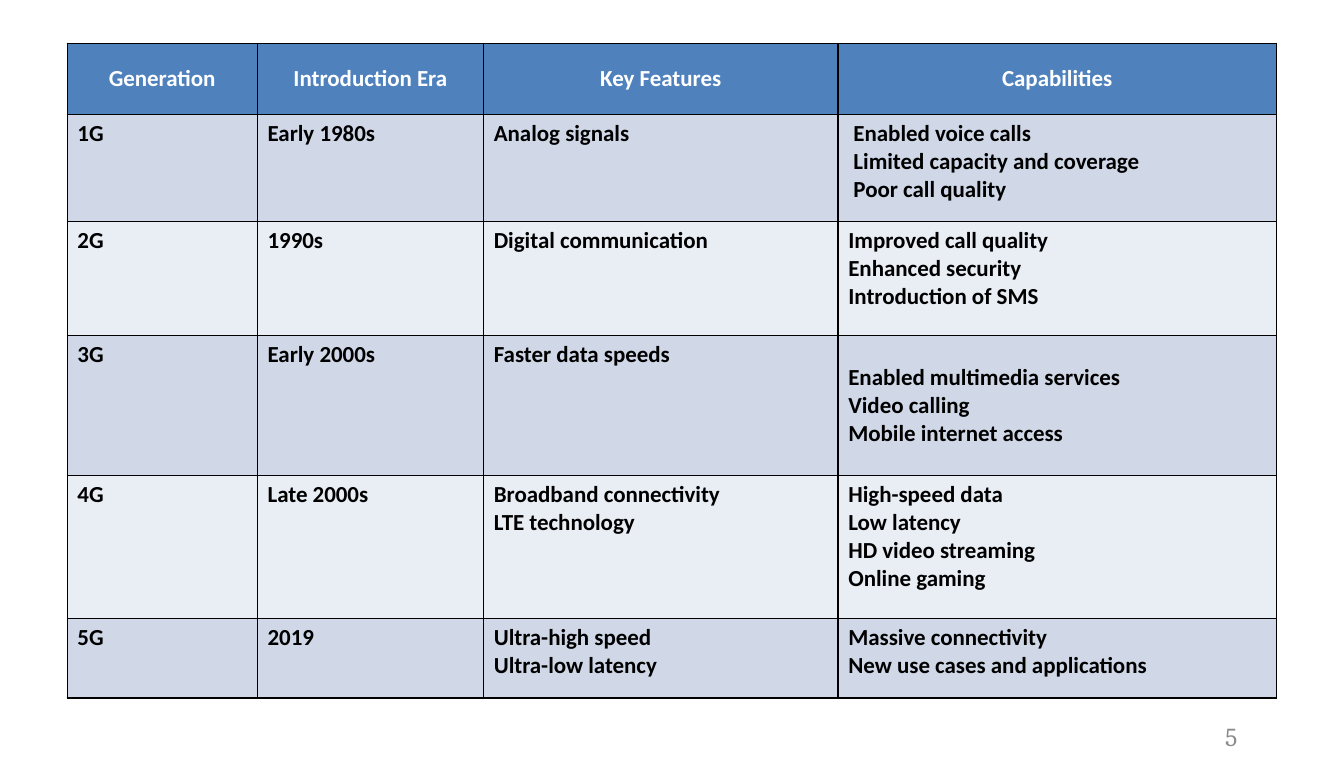
import pptx
import pptx.dml.color
import pptx.enum.text
import pptx.oxml
import pptx.oxml.ns
import pptx.util
from pptx.util import Cm

COLOURS = {
    "header": "4F81BD",
    "odd": "D0D8E8",
    "even": "E9EDF4",
    "border": "000000",
    "body": "000000",
    "title": "FFFFFF",
    "number": "8B8B8B",
}
MIDDLE = pptx.enum.text.MSO_ANCHOR.MIDDLE
TOP = pptx.enum.text.MSO_ANCHOR.TOP
CENTER = pptx.enum.text.PP_ALIGN.CENTER
LEFT = pptx.enum.text.PP_ALIGN.LEFT

CELL_FONT = {"name": "Calibri", "size": pptx.util.Pt(16), "bold": True}
NUMBER_FONT = {"name": "Cambria", "size": pptx.util.Pt(18), "bold": False}

COLUMN_WIDTHS = [4.67, 5.56, 8.71, 10.77]
ROW_HEIGHTS = [1.75, 2.64, 2.79, 3.45, 3.51, 1.96]
GENERATIONS = [
    ["Generation", "Introduction Era", "Key Features", "Capabilities"],
    ["1G", "Early 1980s", "Analog signals",
     "Enabled voice calls\nLimited capacity and coverage\nPoor call quality"],
    ["2G", "1990s", "Digital communication",
     "Improved call quality\nEnhanced security\nIntroduction of SMS"],
    ["3G", "Early 2000s", "Faster data speeds",
     "Enabled multimedia services\nVideo calling\nMobile internet access"],
    ["4G", "Late 2000s", "Broadband connectivity\nLTE technology",
     "High-speed data\nLow latency\nHD video streaming\nOnline gaming"],
    ["5G", "2019", "Ultra-high speed\nUltra-low latency",
     "Massive connectivity\nNew use cases and applications"],
]


def rgb(key):
    return pptx.dml.color.RGBColor.from_string(COLOURS[key])


def write_text(frame, text, font, colour, alignment):
    frame.text = text
    for para in frame.paragraphs:
        para.alignment = alignment
        for span in para.runs:
            for attribute, value in font.items():
                setattr(span.font, attribute, value)
            span.font.color.rgb = rgb(colour)


def add_borders(cell):
    properties = cell._tc.get_or_add_tcPr()
    for index, side in enumerate(["lnL", "lnR", "lnT", "lnB"]):
        line = pptx.oxml.parse_xml(
            f'<a:{side} {pptx.oxml.ns.nsdecls("a")} w="12700"><a:solidFill>'
            f'<a:srgbClr val="{COLOURS["border"]}"/></a:solidFill></a:{side}>'
        )
        properties.insert(index, line)


def add_generation_table(page, left, top, width, height):
    frame = page.shapes.add_table(
        len(ROW_HEIGHTS), len(COLUMN_WIDTHS), left, top, width, height
    )
    table = frame.table
    for column, size in zip(table.columns, COLUMN_WIDTHS):
        column.width = Cm(size)
    for row, size in zip(table.rows, ROW_HEIGHTS):
        row.height = Cm(size)
    for row_index, texts in enumerate(GENERATIONS):
        is_header = row_index == 0
        band = "header" if is_header else ("even", "odd")[row_index % 2]
        for column_index, text in enumerate(texts):
            cell = table.cell(row_index, column_index)
            write_text(cell.text_frame, text, CELL_FONT,
                       "title" if is_header else "body",
                       CENTER if is_header else LEFT)
            cell.vertical_anchor = MIDDLE if is_header else TOP
            cell.fill.solid()
            cell.fill.fore_color.rgb = rgb(band)
            add_borders(cell)
    table.cell(1, 3).margin_left = Cm(0.38)
    table.cell(3, 3).vertical_anchor = MIDDLE


def add_page_number(page, left, top, width, height):
    box = page.shapes.add_textbox(left, top, width, height)
    box.text_frame.word_wrap = True
    box.text_frame.vertical_anchor = MIDDLE
    write_text(box.text_frame, "5", NUMBER_FONT, "number", LEFT)


def main():
    deck = pptx.Presentation()
    deck.slide_width, deck.slide_height = Cm(33.02), Cm(19.05)
    page = deck.slides.add_slide(deck.slide_layouts[6])
    add_generation_table(page, Cm(1.65), Cm(1.06),
                         Cm(sum(COLUMN_WIDTHS)), Cm(sum(ROW_HEIGHTS)))
    add_page_number(page, Cm(29.85), Cm(17.15), Cm(2.1), Cm(1.9))
    deck.save("out.pptx")


if __name__ == "__main__":
    main()
